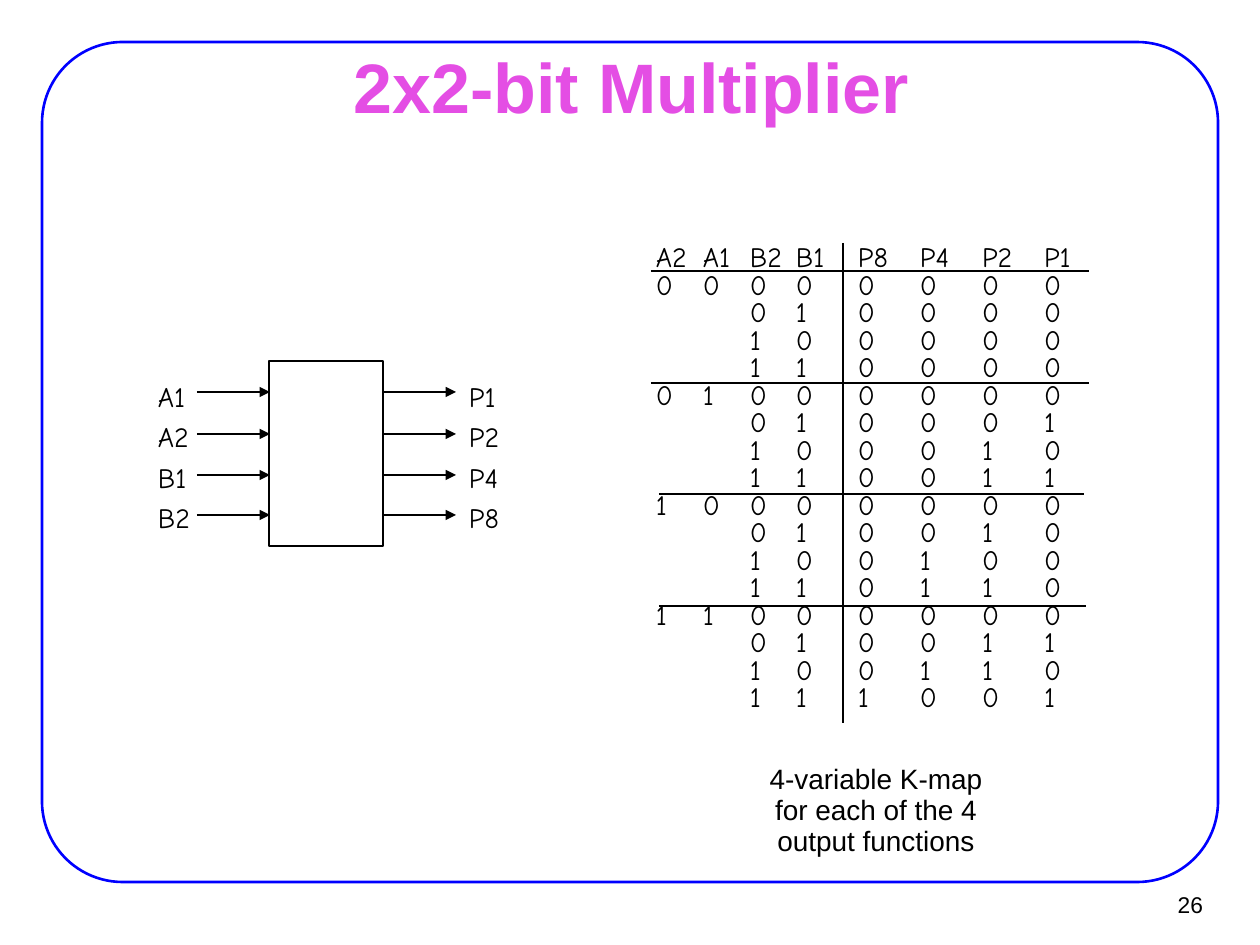
"""Build the slide on the 2x2-bit multiplier."""
from dataclasses import dataclass
from itertools import product

from lxml.etree import SubElement
from pptx import Presentation
from pptx.dml.color import RGBColor
from pptx.enum.shapes import MSO_CONNECTOR, MSO_SHAPE
from pptx.enum.text import MSO_ANCHOR, PP_ALIGN
from pptx.oxml.ns import qn
from pptx.util import Pt


@dataclass(frozen=True)
class Theme:
    """Colours, fonts and type sizes."""
    black: str = "000000"
    blue: str = "0000FF"
    pink: str = "E44EE4"
    sans: str = "Arial"
    comic: str = "Comic Neue"
    title: int = 40
    body: int = 16
    small: int = 13


THEME = Theme()
SCALE = 914400 / 126
TABS = (47, 94, 140, 202, 264, 326, 388)
LEFTS = {"A": 155, "P": 466}


def px(size):
    """Turn px into EMU."""
    return round(size * SCALE)


def apply(target, values):
    """Set each value of a dict on the target."""
    for name, value in values.items():
        setattr(target, name, value)


def add_tabs(para, stops):
    """Give a paragraph left tab stops."""
    tabs = SubElement(para._p.get_or_add_pPr(), qn("a:tabLst"))
    for stop in stops:
        SubElement(tabs, qn("a:tab"), pos=str(px(stop)), algn="l")


def add_text(slide, place, lines, font=THEME.sans, size=THEME.body, color=THEME.black,
             bold=False, inset=(3, 4), align=PP_ALIGN.LEFT, anchor=MSO_ANCHOR.TOP,
             pitch=None, stops=()):
    """Add a text box with one paragraph for each line."""
    frame = slide.shapes.add_textbox(*map(px, place)).text_frame
    side, edge = map(px, inset)
    apply(frame, {"word_wrap": True, "vertical_anchor": anchor,
                  "margin_left": side, "margin_right": side,
                  "margin_top": edge, "margin_bottom": edge})
    for index, line in enumerate(lines):
        para = frame.add_paragraph() if index else frame.paragraphs[0]
        if stops:
            add_tabs(para, stops)
        apply(para, {"alignment": align, "line_spacing": pitch})
        run = para.add_run()
        run.text = line
        apply(run.font, {"name": font, "size": Pt(size), "bold": bold})
        run.font.color.rgb = RGBColor.from_string(color)


def add_box(slide, kind, place, color, width):
    """Add an outlined shape without a fill."""
    shape = slide.shapes.add_shape(kind, *map(px, place))
    shape.shadow.inherit = False
    shape.fill.background()
    shape.line.color.rgb = RGBColor.from_string(color)
    shape.line.width = Pt(width)
    return shape


def add_line(slide, start, end, arrow=False):
    """Add a thin black line, with an arrowhead if asked."""
    line = slide.shapes.add_connector(MSO_CONNECTOR.STRAIGHT, *map(px, start + end))
    line.line.color.rgb = RGBColor.from_string(THEME.black)
    line.line.width = Pt(1)
    if arrow:
        SubElement(line.line._get_or_add_ln(), qn("a:tailEnd"), type="triangle")
    SubElement(line._element.spPr, qn("a:effectLst"))


def truth_rows():
    """Work out the lines of the truth table."""
    rows = ["\t".join("A2 A1 B2 B1 P8 P4 P2 P1".split())]
    for a, b in product(range(4), repeat=2):
        head = "\t" if b else "\t".join(f"{a:02b}")
        rows.append(head + "\t" + "\t".join(f"{b:02b}{a * b:04b}"))
    return rows


def add_truth(slide):
    """Add the truth table with its rules."""
    for left, right, y in ((651, 1089, 271), (651, 1089, 383),
                           (659, 1084, 494), (659, 1086, 606)):
        add_line(slide, (left, y), (right, y))
    add_line(slide, (843, 243), (843, 723))
    add_text(slide, (653, 242, 445, 515), truth_rows(), font=THEME.comic,
             pitch=Pt(15.7), stops=TABS)


def add_block(slide):
    """Add the block with its inputs and outputs."""
    add_box(slide, MSO_SHAPE.RECTANGLE, (269, 361, 114, 185), THEME.black, 1)
    for side, names in (("A", "A1 A2 B1 B2"), ("P", "P1 P2 P4 P8")):
        add_text(slide, (LEFTS[side], 369, 42, 166), names.split(),
                 font=THEME.comic, pitch=1.2)
    for left, y in product((197, 383), (392, 434, 475, 515)):
        add_line(slide, (left, y), (left + 73, y), arrow=True)


def main():
    """Build and save the slide."""
    deck = Presentation()
    apply(deck, {"slide_width": px(1260), "slide_height": px(945)})
    slide = deck.slides.add_slide(deck.slide_layouts[6])
    frame = add_box(slide, MSO_SHAPE.ROUNDED_RECTANGLE, (42, 42, 1176, 840),
                    THEME.blue, 1.5)
    frame.adjustments[0] = 0.096
    add_text(slide, (96, 55, 1071, 62), ["2x2-bit Multiplier"], size=THEME.title,
             color=THEME.pink, bold=True, inset=(14, 8), align=PP_ALIGN.CENTER,
             anchor=MSO_ANCHOR.MIDDLE)
    add_block(slide)
    add_truth(slide)
    add_text(slide, (724, 760, 304, 111),
             ["4-variable K-map", "for each of the 4", "output functions"],
             align=PP_ALIGN.CENTER, pitch=Pt(17.7))
    add_text(slide, (1137, 881, 77, 46), ["26"], size=THEME.small, inset=(11, 5),
             align=PP_ALIGN.RIGHT, anchor=MSO_ANCHOR.MIDDLE)
    deck.save("out.pptx")


if __name__ == "__main__":
    main()
